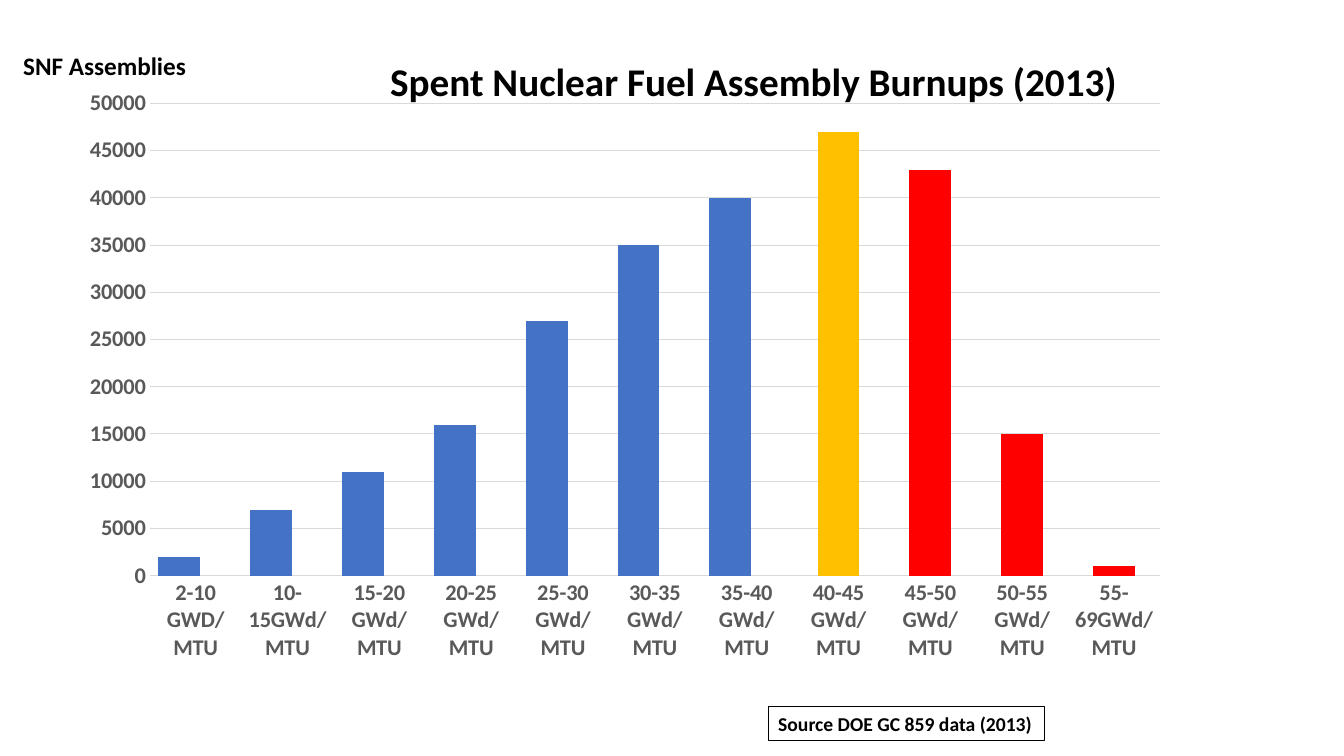
import pptx
import pptx.util
import pptx.chart.data
import pptx.dml.color
import pptx.enum.chart
import pptx.enum.shapes
import pptx.enum.text
import pptx.oxml
import pptx.oxml.ns

Pt = pptx.util.Pt
RGB = pptx.dml.color.RGBColor.from_string
theme = {
    "font": "Calibri", "ink": "000000", "grey": "595959", "grid": "D9D9D9",
    "low": "4472C4", "mid": "FFC000", "high": "FF0000", "none": "A5A5A5",
    "title": 28, "label": 18, "axis": 16, "note": 14, "line": 0.75,
}

deck = pptx.Presentation()
deck.slide_width = pptx.util.Inches(13.33)
deck.slide_height = pptx.util.Inches(7.5)
slide = deck.slides.add_slide(deck.slide_layouts[5])
shapes = slide.shapes


def place(left, top, width, height):
    """Turn percent of the slide's width and height into lengths."""
    col, row = deck.slide_width / 100, deck.slide_height / 100
    return [round(n) for n in (left * col, top * row, width * col, height * row)]


def style(font, size, ink):
    """Give a font the bold look of this slide."""
    look = {"name": theme["font"], "size": Pt(theme[size]), "bold": True}
    for key, value in look.items():
        setattr(font, key, value)
    font.color.rgb = RGB(theme[ink])


# Burnup chart: the third, empty series keeps its room in each group
names = ["2-10 GWD/MTU", "10-15GWd/MTU", "15-20 GWd/MTU", "20-25 GWd/MTU",
         "25-30 GWd/MTU", "30-35 GWd/MTU", "35-40 GWd/MTU", "40-45 GWd/MTU",
         "45-50 GWd/MTU", "50-55 GWd/MTU", "55-69GWd/MTU"]
low = [2000, 7000, 11000, 16000, 27000, 35000, 40000]
high = [47000, 43000, 15000, 1000]
data = pptx.chart.data.CategoryChartData()
data.categories = names
rows = [low + [None] * len(high), [None] * len(low) + high, [None] * len(names)]
for count, row in enumerate(rows, 1):
    data.add_series(f"Series {count}", row)
chart = shapes.add_chart(pptx.enum.chart.XL_CHART_TYPE.COLUMN_CLUSTERED,
                         *place(5.03, 10.53, 82.6, 79.07), data).chart
chart.has_legend = False
chart.has_title = False
chart.font.name = theme["font"]
chart.font.size = Pt(10)

plot = chart.plots[0]
for key, value in {"gap_width": 42, "overlap": 61, "vary_by_categories": False}.items():
    setattr(plot, key, value)
for bars, ink in zip(plot.series, ("low", "high", "none")):
    bars.invert_if_negative = False
    bars.format.fill.solid()
    bars.format.fill.fore_color.rgb = RGB(theme[ink])
peak = plot.series[1].points[len(low)].format.fill
peak.solid()
peak.fore_color.rgb = RGB(theme["mid"])

for axis in (chart.category_axis, chart.value_axis):
    style(axis.tick_labels.font, "axis", "grey")
    axis.major_tick_mark = pptx.enum.chart.XL_TICK_MARK.NONE
scale = {"minimum_scale": 0, "maximum_scale": 50000, "major_unit": 5000}
for key, value in scale.items():
    setattr(chart.value_axis, key, value)
chart.value_axis.format.line.fill.background()
for line in (chart.category_axis.format.line,
             chart.value_axis.major_gridlines.format.line):
    line.color.rgb = RGB(theme["grid"])
    line.width = Pt(theme["line"])

# Fixed inner plot area, in shares of the chart
area = chart.plots[0]._element.getparent()
for old in area.findall(pptx.oxml.ns.qn("c:layout")):
    area.remove(old)
parts = {"layoutTarget": "inner", "xMode": "edge", "yMode": "edge",
         "x": 0.074, "y": 0.04, "w": 0.91, "h": 0.79}
body = "".join(f'<c:{key} val="{value}"/>' for key, value in parts.items())
area.insert(0, pptx.oxml.parse_xml(
    f'<c:layout {pptx.oxml.ns.nsdecls("c")}><c:manualLayout>{body}'
    "</c:manualLayout></c:layout>"))

# Texts, with the title in front of the chart
label = shapes.add_textbox(0, 0, 0, 0)
title = shapes.title
shapes._spTree.append(title._element)
note = shapes.add_shape(pptx.enum.shapes.MSO_SHAPE.RECTANGLE, 0, 0, 0, 0)
note.shadow.inherit = False
note.fill.background()
note.line.color.rgb = RGB(theme["ink"])
note.line.width = Pt(theme["line"])

texts = [
    (label, "SNF Assemblies", "label", (0.98, 6, 13.73, 5.33)),
    (title, "Spent Nuclear Fuel Assembly Burnups (2013)", "title",
     (28.28, 6.93, 56.26, 7.6)),
    (note, "Source DOE GC 859 data (2013)", "note", (57.16, 93.47, 20.56, 4.53)),
]
for shape, words, size, spot in texts:
    for key, value in zip(("left", "top", "width", "height"), place(*spot)):
        setattr(shape, key, value)
    frame = shape.text_frame
    frame.text = words
    form = {"word_wrap": False,
            "auto_size": pptx.enum.text.MSO_AUTO_SIZE.SHAPE_TO_FIT_TEXT,
            "vertical_anchor": pptx.enum.text.MSO_ANCHOR.TOP}
    for key, value in form.items():
        setattr(frame, key, value)
    line = frame.paragraphs[0]
    line.alignment = pptx.enum.text.PP_ALIGN.LEFT
    style(line.runs[0].font, size, "ink")

deck.save("out.pptx")
